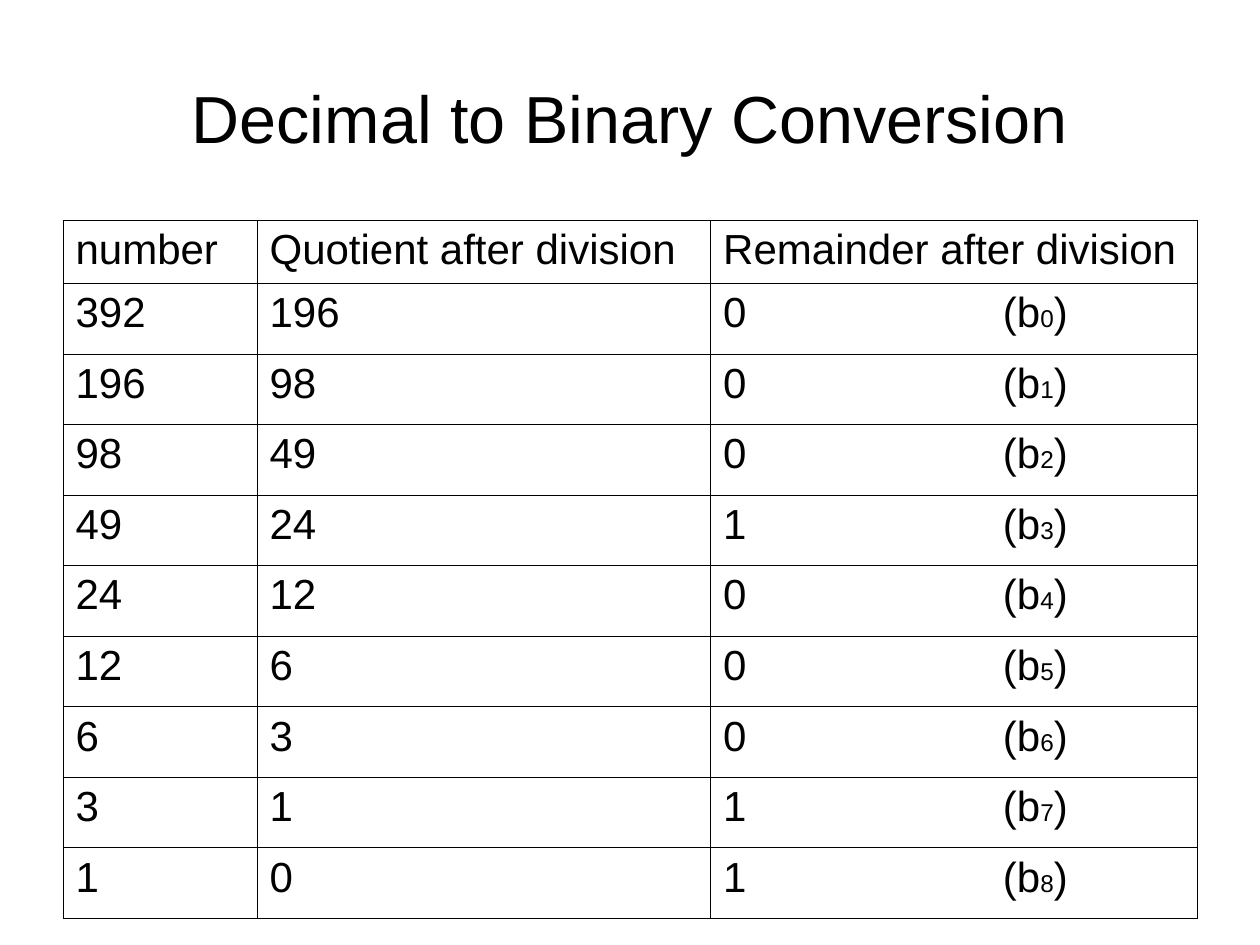
"""Build a slide that converts 392 to binary by repeated division."""
from lxml.etree import SubElement
from pptx import Presentation
from pptx.dml.color import RGBColor
from pptx.enum.text import MSO_ANCHOR, PP_ALIGN
from pptx.oxml.ns import qn
from pptx.util import Inches, Pt

COLORS = {"text": "000000", "border": "000000", "cell": "FFFFFF"}
FONT = "Arial"
HEADERS = ["number", "Quotient after division", "Remainder after division"]
COLUMN_WIDTHS = [1.54, 3.6, 3.86]
HEADER_HEIGHT, ROW_HEIGHT = 0.5, 0.56
BIT_LABEL_TAB = 2.22


def add_run(paragraph, text, size, baseline=None):
    run = paragraph.add_run()
    run.text = text
    run.font.name = FONT
    run.font.size = Pt(size)
    run.font.color.rgb = RGBColor.from_string(COLORS["text"])
    if baseline is not None:
        run.font._element.set("baseline", str(baseline))


def add_borders(cell):
    properties = cell._tc.get_or_add_tcPr()
    for side in ("lnL", "lnR", "lnT", "lnB"):
        line = SubElement(properties, qn(f"a:{side}"), w=str(Pt(0.45)))
        fill = SubElement(line, qn("a:solidFill"))
        SubElement(fill, qn("a:srgbClr"), val=COLORS["border"])


presentation = Presentation()
presentation.slide_width = Inches(10)
presentation.slide_height = Inches(7.5)
slide = presentation.slides.add_slide(presentation.slide_layouts[5])

title = slide.shapes.title
title.left, title.top = Inches(0.5), Inches(0.3)
title.width, title.height = Inches(9), Inches(1.25)
title.text_frame.vertical_anchor = MSO_ANCHOR.MIDDLE
title_paragraph = title.text_frame.paragraphs[0]
title_paragraph.alignment = PP_ALIGN.CENTER
add_run(title_paragraph, "Decimal to Binary Conversion", 38)

rows = [[[(header, None)] for header in HEADERS]]
number = 392
while number:
    quotient, remainder = divmod(number, 2)
    bit = len(rows) - 1
    rows.append([
        [(str(number), None)],
        [(str(quotient), None)],
        [(f"{remainder}\t(b", None), (str(bit), -25), (")", None)],
    ])
    number = quotient

table_height = HEADER_HEIGHT + ROW_HEIGHT * (len(rows) - 1)
table = slide.shapes.add_table(
    len(rows), len(HEADERS), Inches(0.5), Inches(1.75), Inches(9), Inches(table_height)
).table
for column, width in zip(table.columns, COLUMN_WIDTHS):
    column.width = Inches(width)
for row_index, row in enumerate(rows):
    table.rows[row_index].height = Inches(ROW_HEIGHT if row_index else HEADER_HEIGHT)
    for column_index, runs in enumerate(row):
        cell = table.cell(row_index, column_index)
        add_borders(cell)
        cell.fill.solid()
        cell.fill.fore_color.rgb = RGBColor.from_string(COLORS["cell"])
        paragraph = cell.text_frame.paragraphs[0]
        paragraph.alignment = PP_ALIGN.JUSTIFY
        if len(runs) > 1:
            tabs = SubElement(paragraph._p.get_or_add_pPr(), qn("a:tabLst"))
            SubElement(tabs, qn("a:tab"), pos=str(Inches(BIT_LABEL_TAB)), algn="l")
        for text, baseline in runs:
            add_run(paragraph, text, 24, baseline)

presentation.save("out.pptx")
